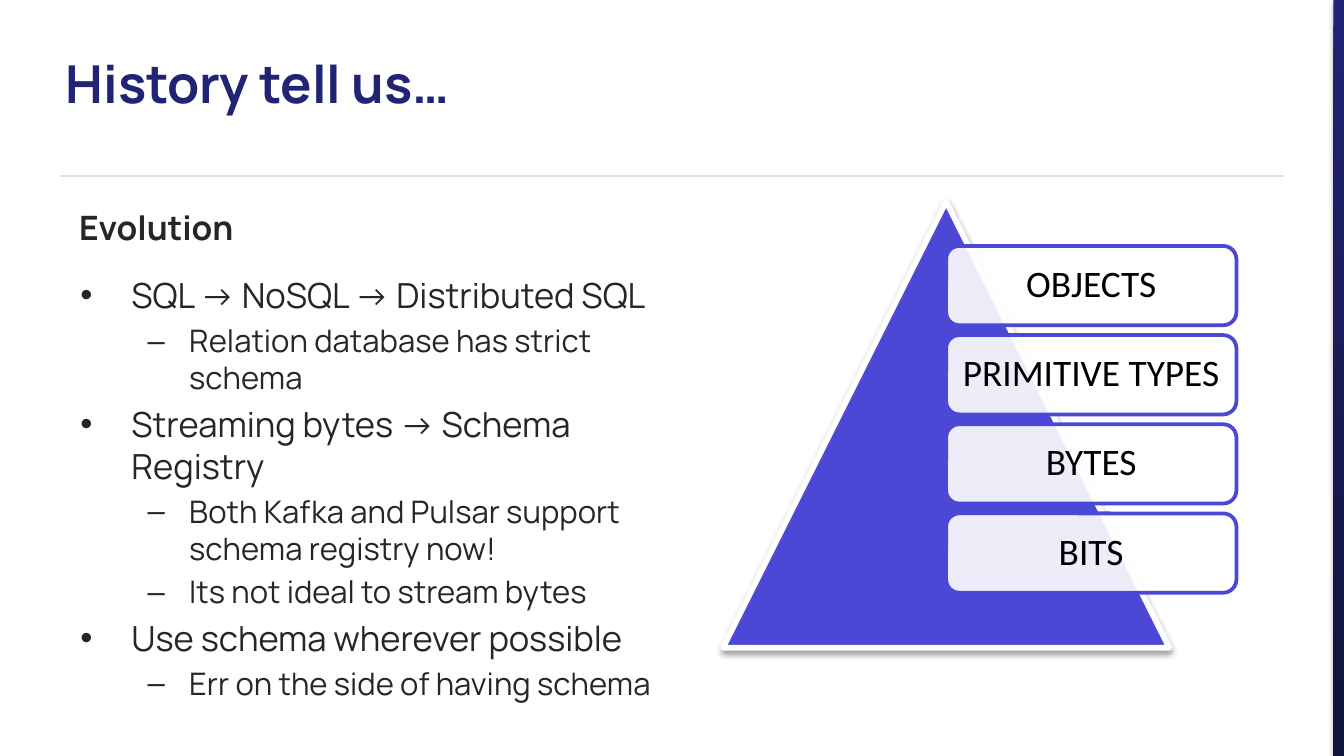
from dataclasses import dataclass

from lxml.etree import SubElement
from pptx import Presentation
from pptx.dml.color import RGBColor
from pptx.enum.shapes import MSO_CONNECTOR, MSO_SHAPE
from pptx.enum.text import MSO_ANCHOR, PP_ALIGN
from pptx.oxml.ns import qn
from pptx.util import Inches, Pt


@dataclass(frozen=True)
class Theme:
    navy: str = "212374"
    midnight: str = "11123A"
    indigo: str = "4A48D4"
    ink: str = "262626"
    rule: str = "E0E0E0"
    white: str = "FFFFFF"
    black: str = "000000"
    font: str = "Manrope"
    card_font: str = "Calibri"
    title_size: float = 28
    heading_size: float = 18
    card_size: float = 20
    bullet_sizes: tuple = (18.5, 16.65)


LEVELS = [("•", 0.38, -0.38), ("–", 0.81, -0.31)]

BULLETS = [
    (0, "SQL -> NoSQL -> Distributed SQL"),
    (1, "Relation database has strict schema"),
    (0, "Streaming bytes -> Schema Registry"),
    (1, "Both Kafka and Pulsar support schema registry now!"),
    (1, "Its not ideal to stream bytes"),
    (0, "Use schema wherever possible"),
    (1, "Err on the side of having schema"),
]

LAYERS = ["OBJECTS", "PRIMITIVE TYPES", "BYTES", "BITS"]


class SlideBuilder:
    def __init__(self, slide, theme):
        self.s = slide
        self.theme = theme

    def color(self, value):
        return RGBColor.from_string(value)

    def format_runs(self, p, size, color, font=None, bold=False):
        for r in p.runs:
            r.font.name = font or self.theme.font
            r.font.size = Pt(size)
            r.font.bold = bold
            r.font.color.rgb = self.color(color)

    def rule(self, x1, x2, y):
        line = self.s.shapes.add_connector(
            MSO_CONNECTOR.STRAIGHT, Inches(x1), Inches(y), Inches(x2), Inches(y))
        line.line.color.rgb = self.color(self.theme.rule)
        line.line.width = Pt(0.75)
        SubElement(line._element.spPr, qn("a:effectLst"))

    def shape(self, kind, box, fill=None, line=None, width=0):
        sp = self.s.shapes.add_shape(kind, *map(Inches, box))
        sp.shadow.inherit = False
        if fill:
            sp.fill.solid()
            sp.fill.fore_color.rgb = self.color(fill)
        if line:
            sp.line.color.rgb = self.color(line)
            sp.line.width = Pt(width)
        else:
            sp.line.fill.background()
        return sp

    def shadow(self, sp, alpha, blur, distance):
        effects = sp._element.spPr.find(qn("a:effectLst"))
        outer = SubElement(effects, qn("a:outerShdw"), blurRad=str(Pt(blur)),
                           dist=str(Pt(distance)), dir="5400000", rotWithShape="0")
        clr = SubElement(outer, qn("a:srgbClr"), val=self.theme.black)
        SubElement(clr, qn("a:alpha"), val=str(alpha * 1000))

    def side_band(self, box):
        sp = self.shape(MSO_SHAPE.RECTANGLE, box)
        sp.fill.gradient()
        sp.fill.gradient_angle = 270
        for stop, value in zip(sp.fill.gradient_stops, (self.theme.navy, self.theme.midnight)):
            stop.color.rgb = self.color(value)
        self.shadow(sp, 35, 3.1, 1.8)

    def text_frame(self, box, anchor):
        tf = self.s.shapes.add_textbox(*map(Inches, box)).text_frame
        tf.word_wrap = True
        tf.vertical_anchor = anchor
        return tf

    def title(self, text, box):
        tf = self.text_frame(box, MSO_ANCHOR.MIDDLE)
        tf.margin_left = tf.margin_right = tf.margin_top = tf.margin_bottom = 0
        tf.text = text
        self.format_runs(tf.paragraphs[0], self.theme.title_size, self.theme.navy, bold=True)

    def heading(self, text, box):
        tf = self.text_frame(box, MSO_ANCHOR.BOTTOM)
        tf.text = text
        self.format_runs(tf.paragraphs[0], self.theme.heading_size, self.theme.ink, bold=True)

    def bullets(self, items, box):
        tf = self.text_frame(box, MSO_ANCHOR.TOP)
        for i, (level, text) in enumerate(items):
            p = tf.add_paragraph() if i else tf.paragraphs[0]
            char, margin, indent = LEVELS[level]
            size = self.theme.bullet_sizes[level]
            p.text = text
            p.level = level
            pPr = p._p.get_or_add_pPr()
            pPr.set("marL", str(Inches(margin)))
            pPr.set("indent", str(Inches(indent)))
            SubElement(pPr, qn("a:buFont"), typeface="Arial")
            SubElement(pPr, qn("a:buChar"), char=char)
            if i:
                p.space_before = Pt(round(size * 0.2, 1))
            self.format_runs(p, size, self.theme.ink)

    def pyramid(self, box):
        sp = self.shape(MSO_SHAPE.ISOSCELES_TRIANGLE, box,
                        self.theme.indigo, self.theme.white, 3)
        self.shadow(sp, 38, 3.1, 1.6)

    def card(self, text, box):
        sp = self.shape(MSO_SHAPE.ROUNDED_RECTANGLE, box,
                        self.theme.white, self.theme.indigo, 2)
        clr = sp._element.spPr.find(qn("a:solidFill")).find(qn("a:srgbClr"))
        SubElement(clr, qn("a:alpha"), val="90000")
        tf = sp.text_frame
        tf.word_wrap = True
        tf.vertical_anchor = MSO_ANCHOR.MIDDLE
        tf.margin_left = tf.margin_right = tf.margin_top = tf.margin_bottom = Inches(0.08)
        tf.text = text
        p = tf.paragraphs[0]
        p.alignment = PP_ALIGN.CENTER
        p.line_spacing = 0.9
        self.format_runs(p, self.theme.card_size, self.theme.black, self.theme.card_font)


def main():
    prs = Presentation()
    prs.slide_width = Inches(10)
    prs.slide_height = prs.slide_width * 9 // 16
    builder = SlideBuilder(prs.slides.add_slide(prs.slide_layouts[6]), Theme())

    builder.rule(9.55, 0.45, 1.31)
    builder.side_band((9.92, 0, 0.08, prs.slide_height.inches))
    builder.title("History tell us…", (0.49, 0.14, 6.67, 0.95))
    builder.heading("Evolution", (0.49, 1.37, 4.42, 0.52))
    builder.bullets(BULLETS, (0.5, 1.99, 4.77, 2.83))
    builder.pyramid((5.38, 1.5, 3.32, 3.32))
    card_top, card_bottom_row = 1.83, 3.82
    pitch = (card_bottom_row - card_top) / (len(LAYERS) - 1)
    for i, layer in enumerate(LAYERS):
        builder.card(layer, (7.04, card_top + i * pitch, 2.16, 0.59))

    prs.save("out.pptx")


if __name__ == "__main__":
    main()
